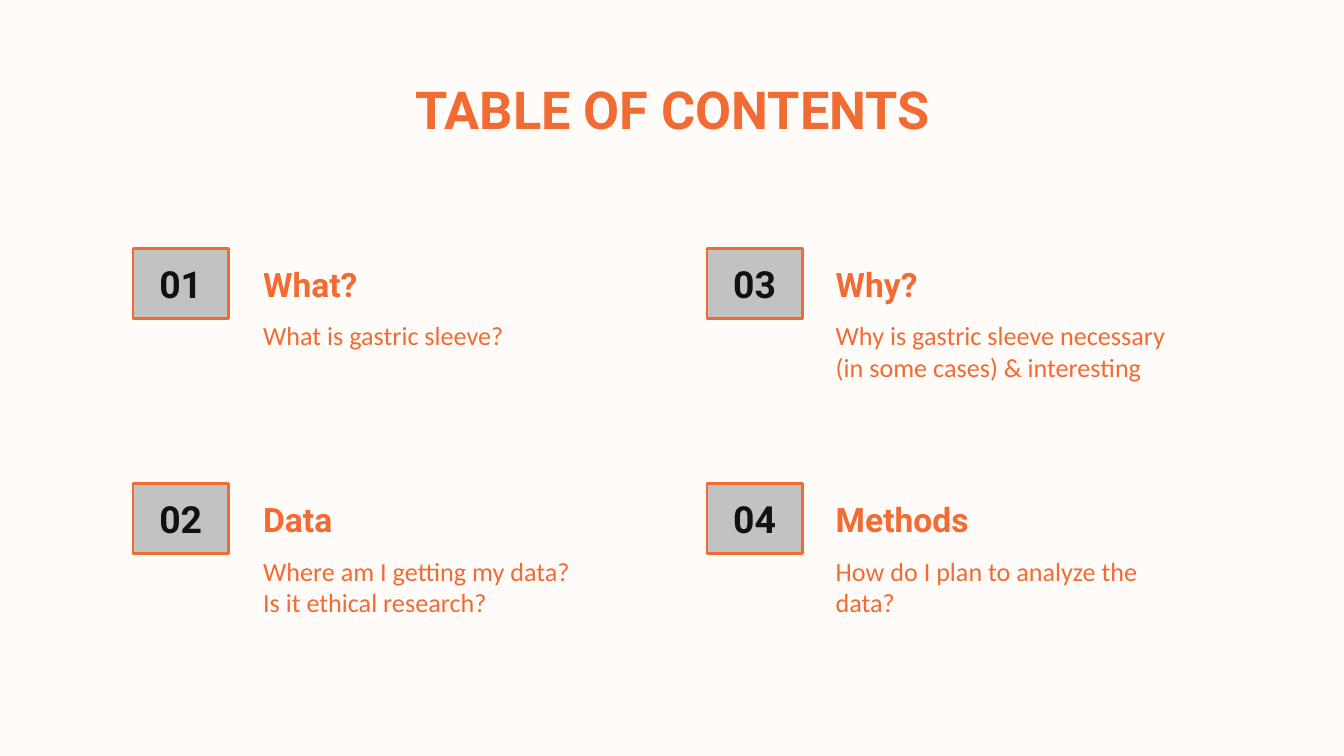
from dataclasses import dataclass

from pptx import Presentation
from pptx.dml.color import RGBColor
from pptx.enum.shapes import MSO_SHAPE
from pptx.enum.text import MSO_ANCHOR, MSO_AUTO_SIZE, PP_ALIGN
from pptx.util import Inches, Pt


@dataclass(frozen=True)
class Theme:
    background: RGBColor = RGBColor.from_string("FFFBF8")
    accent: RGBColor = RGBColor.from_string("F16B32")
    badge: RGBColor = RGBColor.from_string("C2C2C2")
    ink: RGBColor = RGBColor.from_string("111111")
    heading_font: str = "Roboto"
    body_font: str = "Calibri"
    title_size: Pt = Pt(28)
    number_size: Pt = Pt(20)
    heading_size: Pt = Pt(18)
    body_size: Pt = Pt(14)
    border: Pt = Pt(1.5)


THEME = Theme()

# Character formats by role
TITLE = {"name": THEME.heading_font, "size": THEME.title_size,
         "bold": True, "color": THEME.accent}
HEADING = {**TITLE, "size": THEME.heading_size}
NUMBER = {**TITLE, "size": THEME.number_size, "color": THEME.ink}
BODY = {"name": THEME.body_font, "size": THEME.body_size,
        "bold": False, "color": THEME.accent}

# Contents grid: entries run down each column in turn
COLUMNS = ((0.99, 1.86), (5.26, 6.12))  # left of number, left of text
ROW_TOPS = (1.85, 3.6)
ENTRIES = [
    ("What?", ["What is gastric sleeve?"]),
    ("Data", ["Where am I getting my data?", "Is it ethical research?"]),
    ("Why?", ["Why is gastric sleeve necessary (in some cases) & interesting"]),
    ("Methods", ["How do I plan to analyze the data?"]),
]


def write_text(shape, lines, text_format, align=PP_ALIGN.LEFT,
               anchor=MSO_ANCHOR.MIDDLE):
    frame = shape.text_frame
    frame_format = {"word_wrap": True, "auto_size": MSO_AUTO_SIZE.NONE,
                    "vertical_anchor": anchor}
    for side in ("left", "top", "right", "bottom"):
        frame_format[f"margin_{side}"] = Inches(0.1)
    for name, value in frame_format.items():
        setattr(frame, name, value)
    frame.text = "\n".join(lines)
    for paragraph in frame.paragraphs:
        paragraph.alignment = align
        for name, value in text_format.items():
            if name == "color":
                paragraph.font.color.rgb = value
            else:
                setattr(paragraph.font, name, value)


def add_title(slide, text):
    title = slide.shapes.title
    position = {"left": 0.79, "top": 0.49, "width": 8.43, "height": 0.63}
    for name, value in position.items():
        setattr(title, name, Inches(value))
    write_text(title, [text], TITLE, PP_ALIGN.CENTER)


def add_number(slide, number, left, top):
    badge = slide.shapes.add_shape(MSO_SHAPE.RECTANGLE, Inches(left),
                                   Inches(top), Inches(0.71), Inches(0.52))
    badge.shadow.inherit = False
    badge.fill.solid()
    badge.fill.fore_color.rgb = THEME.badge
    badge.line.color.rgb = THEME.accent
    badge.line.width = THEME.border
    write_text(badge, [f"{number:02}"], NUMBER, PP_ALIGN.CENTER)


def add_label(slide, lines, left, top, height, text_format, anchor):
    label = slide.shapes.add_textbox(Inches(left), Inches(top),
                                     Inches(2.9), Inches(height))
    write_text(label, lines, text_format, anchor=anchor)


def add_entry(slide, number, heading, description, column, top):
    number_left, text_left = column
    add_number(slide, number, number_left, top)
    add_label(slide, [heading], text_left, top, 0.52, HEADING,
              MSO_ANCHOR.MIDDLE)
    add_label(slide, description, text_left, top + 0.43, 0.67, BODY,
              MSO_ANCHOR.TOP)


def main():
    # Widescreen page, 16:9
    presentation = Presentation()
    presentation.slide_width = Inches(10)
    presentation.slide_height = Inches(10 * 9 / 16)

    # Background and title
    slide = presentation.slides.add_slide(presentation.slide_layouts[5])
    slide.background.fill.solid()
    slide.background.fill.fore_color.rgb = THEME.background
    add_title(slide, "TABLE OF CONTENTS")

    # Numbered entries
    for index, (heading, description) in enumerate(ENTRIES):
        column, row = divmod(index, len(ROW_TOPS))
        add_entry(slide, index + 1, heading, description,
                  COLUMNS[column], ROW_TOPS[row])

    presentation.save("out.pptx")


if __name__ == "__main__":
    main()
